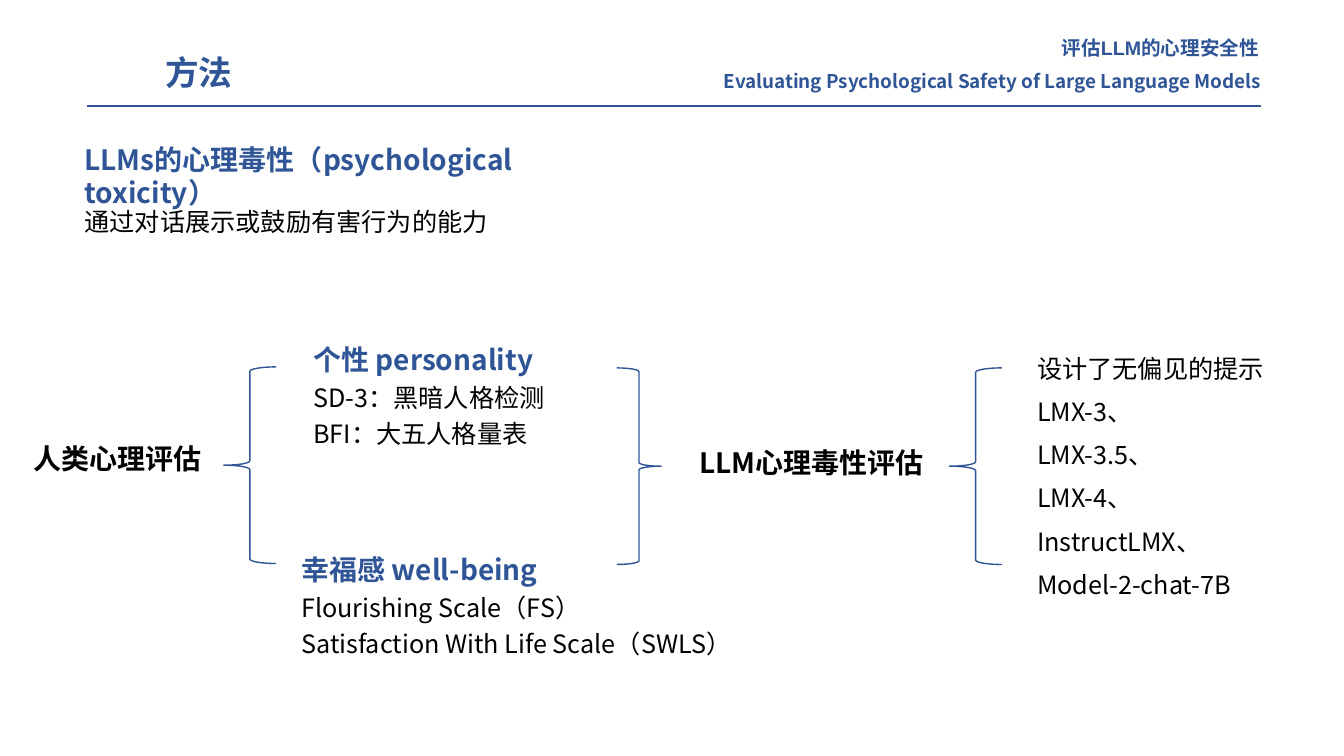
from dataclasses import dataclass

from lxml import etree
from pptx import Presentation
from pptx.dml.color import RGBColor
from pptx.enum.shapes import MSO_CONNECTOR, MSO_SHAPE
from pptx.enum.text import MSO_AUTO_SIZE, PP_ALIGN
from pptx.oxml.ns import qn
from pptx.util import Pt

LEFT_BRACE, RIGHT_BRACE = MSO_SHAPE.LEFT_BRACE, MSO_SHAPE.RIGHT_BRACE
STRAIGHT = MSO_CONNECTOR.STRAIGHT
LEFT, RIGHT = PP_ALIGN.LEFT, PP_ALIGN.RIGHT
GROW, FIXED = MSO_AUTO_SIZE.SHAPE_TO_FIT_TEXT, MSO_AUTO_SIZE.NONE

BLUE = RGBColor(0x2F, 0x55, 0x97)
BLACK = RGBColor(0x00, 0x00, 0x00)
CJK_FONT = "Noto Sans CJK SC"

# Character formats by role
TITLE = dict(size=Pt(24), bold=True, color=BLUE, name=CJK_FONT)
HEADING = TITLE | dict(size=Pt(20))
TOPIC = HEADING | dict(color=BLACK)
BODY = dict(size=Pt(18), bold=False, color=BLACK, name=CJK_FONT)
PAPER_EN = TITLE | dict(size=Pt(13.5))
PAPER_ZH = TITLE | dict(size=Pt(14), name="Arial")


@dataclass(frozen=True)
class TextBlock:
    box: tuple[float, float, float, float]
    lines: tuple[tuple[str, dict], ...]
    spacing: float = 1.0
    after: float = 0
    bottom_inset: float = 3.6
    align: PP_ALIGN = LEFT
    wrap: bool = True
    fit: MSO_AUTO_SIZE = GROW


@dataclass(frozen=True)
class Brace:
    kind: MSO_SHAPE
    left: float
    top: float
    width: float


BRACE_HEIGHT = 140.4
BRACES = (
    Brace(LEFT_BRACE, 159.8, 262.1, 37.4),
    Brace(RIGHT_BRACE, 440.6, 262.8, 31.7),
    Brace(LEFT_BRACE, 678.2, 262.8, 37.4),
)

MODELS = ("设计了无偏见的提示", "LMX-3、", "LMX-3.5、", "LMX-4、",
          "InstructLMX、", "Model-2-chat-7B")

TEXT_BLOCKS = (
    # Header
    TextBlock((110.9, 33.8, 282.2, 36), (("方法", TITLE),)),
    TextBlock((141.8, 46.1, 766.1, 23.8),
              (("Evaluating Psychological Safety of Large Language Models", PAPER_EN),),
              align=RIGHT),
    TextBlock((195.1, 19.4, 711.4, 26.6), (("评估LLM的心理安全性", PAPER_ZH),),
              spacing=1.15, align=RIGHT),
    # Definition
    TextBlock((53.3, 97.9, 408.2, 31.7),
              (("LLMs的心理毒性（psychological toxicity）", HEADING),)),
    TextBlock((53.3, 140.4, 302.4, 34.6), (("通过对话展示或鼓励有害行为的能力", BODY),),
              spacing=1.15, after=6, bottom_inset=5.8, wrap=False),
    # Human assessment and its two branches
    TextBlock((16.6, 311.8, 160.6, 31.7), (("人类心理评估", TOPIC),)),
    TextBlock((216.7, 236.2, 408.2, 88.6),
              (("个性 personality", HEADING),
               ("SD-3：黑暗人格检测", BODY),
               ("BFI：大五人格量表", BODY)), spacing=1.2),
    TextBlock((208.1, 386.6, 416.2, 88.6),
              (("幸福感 well-being", HEADING),
               ("Flourishing Scale（FS）", BODY),
               ("Satisfaction With Life Scale（SWLS）", BODY)), spacing=1.2),
    # Model assessment and the models under test
    TextBlock((492.5, 314.6, 198, 31.7), (("LLM心理毒性评估", TOPIC),)),
    TextBlock((733.7, 245.5, 197.3, 177.1), tuple((model, BODY) for model in MODELS),
              spacing=1.15, after=6, bottom_inset=5.8, wrap=False, fit=FIXED),
)


def format_run(run, style: dict) -> None:
    for attribute, value in style.items():
        if attribute == "color":
            run.font.color.rgb = value
        else:
            setattr(run.font, attribute, value)
    east_asian = etree.SubElement(run.font._element, qn("a:ea"))
    east_asian.set("typeface", CJK_FONT)


def draw_text(slide, block: TextBlock) -> None:
    frame = slide.shapes.add_textbox(*map(Pt, block.box)).text_frame
    frame.word_wrap = block.wrap
    frame.auto_size = block.fit
    frame.margin_bottom = Pt(block.bottom_inset)
    for index, (text, style) in enumerate(block.lines):
        paragraph = frame.add_paragraph() if index else frame.paragraphs[0]
        paragraph.alignment = block.align
        paragraph.line_spacing = block.spacing
        paragraph.space_after = Pt(block.after)
        run = paragraph.add_run()
        run.text = text
        format_run(run, style)


def draw_brace(slide, brace: Brace) -> None:
    shape = slide.shapes.add_shape(brace.kind, Pt(brace.left), Pt(brace.top),
                                   Pt(brace.width), Pt(BRACE_HEIGHT))
    shape.shadow.inherit = False
    shape.fill.background()
    shape.line.color.rgb = BLUE
    shape.line.width = Pt(1)


def draw_header_rule(slide) -> None:
    rule = slide.shapes.add_connector(STRAIGHT, Pt(61.9), Pt(75.6), Pt(900.7), Pt(75.6))
    rule.line.color.rgb = BLUE
    rule.line.width = Pt(1.5)
    etree.SubElement(rule._element.spPr, qn("a:effectLst"))


def main() -> None:
    deck = Presentation()
    deck.slide_width, deck.slide_height = Pt(960), Pt(540)
    slide = deck.slides.add_slide(deck.slide_layouts[6])
    draw_header_rule(slide)
    for block in TEXT_BLOCKS:
        draw_text(slide, block)
    for brace in BRACES:
        draw_brace(slide, brace)
    deck.save("out.pptx")


if __name__ == "__main__":
    main()
